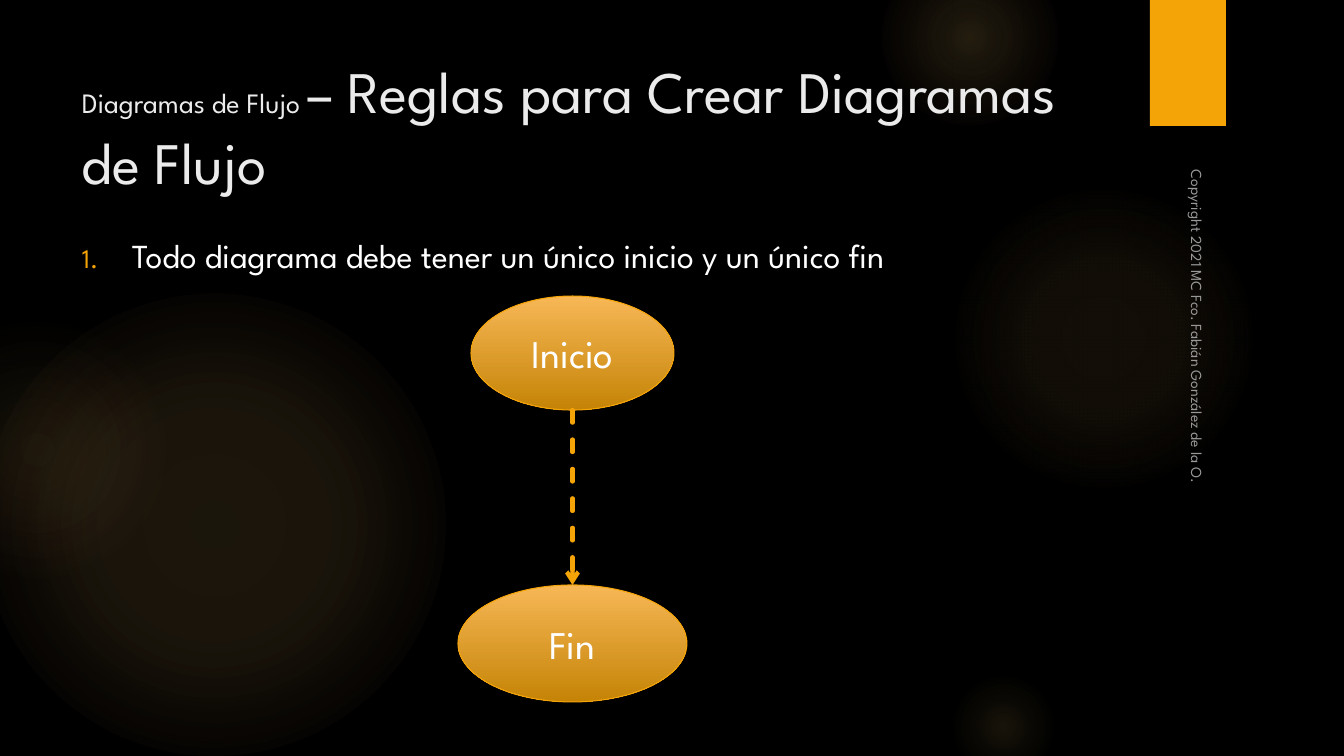
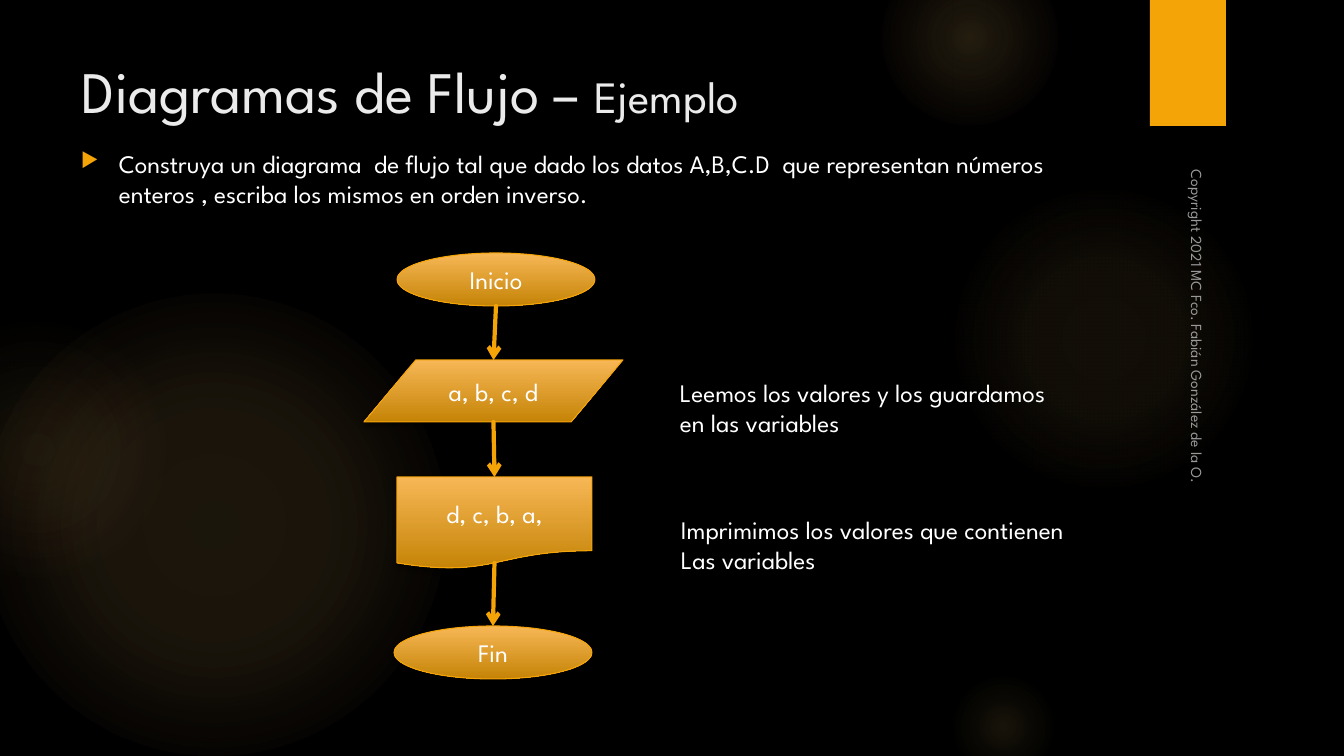
from lxml import etree
from pptx import Presentation
from pptx.dml.color import RGBColor
from pptx.enum import dml, shapes, text
from pptx.oxml import parse_xml
from pptx.oxml.ns import qn
from pptx.util import Pt

SCALE = 914400 / 100.8
WIDE, HIGH = 1344, 756
FONT = "League Spartan"
BLACK = RGBColor(0x00, 0x00, 0x00)
WHITE = RGBColor(0xFF, 0xFF, 0xFF)
PALE = RGBColor(0xEB, 0xEB, 0xEB)
GREY = RGBColor(0x99, 0x99, 0x99)
AMBER = RGBColor(0xF5, 0xA4, 0x08)
LIGHT = RGBColor(0xF7, 0xB7, 0x56)
DARK = RGBColor(0xC5, 0x84, 0x06)
GOLD = RGBColor(0xFA, 0xC9, 0x6A)
CORAL = RGBColor(0xF5, 0x9B, 0x74)
NS = 'xmlns:a="http://schemas.openxmlformats.org/drawingml/2006/main"'
KIND = shapes.MSO_SHAPE

# Glows: left, top, size, then stops of position, opacity and colour
GLOWS = [
    (-17, 294, 462, [(0, 11, GOLD), (36, 10, GOLD), (75, 0, GOLD)]),
    (-93, 320, 260, [(0, 8, GOLD), (36, 5, GOLD), (71, 0, CORAL)]),
    (949, 184, 310, [(0, 7, GOLD), (36, 6, GOLD), (69, 0, GOLD)]),
    (882, -50, 176, [(0, 14, GOLD), (36, 7, GOLD), (73, 0, GOLD)]),
    (949, 672, 109, [(0, 10, GOLD), (31, 5, GOLD), (66, 0, GOLD)]),
]


def px(n):
    return round(n * SCALE)


def fill(frame, paras, size=18, color=WHITE, align=None, anchor="TOP"):
    """Each paragraph is a string or a list of (string, size) runs."""
    frame.word_wrap = True
    frame.vertical_anchor = getattr(text.MSO_ANCHOR, anchor)
    for i, runs in enumerate(paras):
        para = frame.paragraphs[0] if i == 0 else frame.add_paragraph()
        para.alignment = align
        for words, pts in [(runs, size)] if isinstance(runs, str) else runs:
            run = para.add_run()
            run.text = words
            run.font.size = Pt(pts)
            run.font.name = FONT
            run.font.color.rgb = color


def label(slide, box, paras, **form):
    area = slide.shapes.add_textbox(*map(px, box))
    fill(area.text_frame, paras, **form)
    return area


def bullet(area, mark, indent):
    para = area.text_frame.paragraphs[0]
    para.space_before, para.space_after = Pt(5), Pt(6)
    props = para._p.get_or_add_pPr()
    props.set("marL", str(px(indent)))
    props.set("indent", str(-px(indent)))
    for part in (f'<a:buClr {NS}><a:srgbClr val="{AMBER}"/></a:buClr>',
                 f'<a:buSzPct {NS} val="80000"/>', mark):
        props.append(parse_xml(part))


def shade(shape):
    shape.shadow.inherit = False
    shape._element.spPr.find(qn("a:effectLst")).append(parse_xml(
        f'<a:outerShdw {NS} blurRad="38100" dist="25400" dir="5400000" '
        f'rotWithShape="0"><a:srgbClr val="{BLACK}"><a:alpha val="45000"/>'
        '</a:srgbClr></a:outerShdw>'))


def glow(slide, left, top, size, stops):
    disc = slide.shapes.add_shape(KIND.OVAL, *map(px, (left, top, size, size)))
    disc.shadow.inherit = False
    disc.line.fill.background()
    marks = "".join(
        f'<a:gs pos="{pos * 1000}"><a:srgbClr val="{tint}">'
        f'<a:alpha val="{alpha * 1000}"/></a:srgbClr></a:gs>'
        for pos, alpha, tint in stops)
    disc._element.spPr.find(qn("a:prstGeom")).addnext(parse_xml(
        f'<a:gradFill {NS}><a:gsLst>{marks}</a:gsLst><a:path path="circle">'
        '<a:fillToRect l="50000" t="50000" r="50000" b="50000"/></a:path>'
        '</a:gradFill>'))


def base(deck):
    """Blank slide with the shared backdrop, tab and side credit."""
    slide = deck.slides.add_slide(deck.slide_layouts[6])
    back = slide.background.fill
    back.solid()
    back.fore_color.rgb = BLACK
    for spot in GLOWS:
        glow(slide, *spot)
    tab = slide.shapes.add_shape(KIND.RECTANGLE, *map(px, (1150, 0, 76, 126)))
    tab.fill.solid()
    tab.fill.fore_color.rgb = AMBER
    tab.line.fill.background()
    shade(tab)
    side = label(slide, (987, 356, 425, 33),
                 ["Copyright 2021 MC Fco. Fabián González de la O."],
                 size=11, color=GREY, anchor="BOTTOM")
    side.rotation = 90
    return slide


def title(slide, runs, high):
    label(slide, (72, 50, 1037, high), [runs], color=PALE)


def node(slide, kind, box, words, size=18):
    shape = slide.shapes.add_shape(kind, *map(px, box))
    shape.fill.gradient()
    shape.fill.gradient_angle = 270
    for stop, tint, pos in zip(shape.fill.gradient_stops, (LIGHT, DARK), (0, 1)):
        stop.color.rgb = tint
        stop.position = pos
    shape.line.color.rgb = AMBER
    shape.line.width = Pt(0.75)
    shade(shape)
    fill(shape.text_frame, [words], size=size, align=text.PP_ALIGN.CENTER,
         anchor="MIDDLE")
    return shape


def arrow(slide, start, end, dash=False):
    """Join the bottom of one node to the top of the next."""
    wavy = start.auto_shape_type == KIND.FLOWCHART_DOCUMENT
    foot = start.top + start.height - (px(6) if wavy else 0)
    line = slide.shapes.add_connector(
        shapes.MSO_CONNECTOR.STRAIGHT, start.left + start.width // 2, foot,
        end.left + end.width // 2, end.top)
    if end.auto_shape_type != KIND.FLOWCHART_DATA:
        end_site = 0
        line.end_connect(end, end_site)
    line.line.color.rgb = AMBER
    line.line.width = Pt(3)
    if dash:
        line.line.dash_style = dml.MSO_LINE.DASH
    props = line._element.spPr
    stroke = props.find(qn("a:ln"))
    stroke.set("cap", "rnd")
    etree.SubElement(stroke, qn("a:tailEnd")).set("type", "arrow")
    etree.SubElement(props, qn("a:effectLst"))


def chain(slide, x, y, parts, size=18, dash=False):
    """Nodes placed from the corner x, y, each linked to the next."""
    nodes = [node(slide, kind, (x + dx, y + dy, w, h), words, size)
             for kind, dx, dy, w, h, words in parts]
    for start, end in zip(nodes, nodes[1:]):
        arrow(slide, start, end, dash)


def rules(deck):
    slide = base(deck)
    title(slide, [("Diagramas de Flujo ", 20),
                  ("– Reglas para Crear Diagramas de Flujo", 42)], 149)
    body = label(slide, (72, 230, 1061, 56),
                 ["Todo diagrama debe tener un único inicio y un único fin"],
                 size=24)
    bullet(body, f'<a:buAutoNum {NS} type="arabicPeriod"/>', 50)
    chain(slide, 458, 296, [
        (KIND.OVAL, 13, 0, 203, 114, "Inicio"),
        (KIND.OVAL, 0, 289, 229, 117, "Fin"),
    ], size=28, dash=True)


def sample(deck):
    slide = base(deck)
    title(slide, [("Diagramas de Flujo – ", 42), ("Ejemplo", 32)], 86)
    body = label(slide, (71, 143, 1037, 52), [
        "Construya un diagrama  de flujo tal que dado los datos A,B,C.D  que "
        "representan números enteros , escriba los mismos en orden inverso."])
    bullet(body, f'<a:buChar {NS} char="▶"/>', 38)
    chain(slide, 364, 253, [
        (KIND.OVAL, 33, 0, 198, 53, "Inicio"),
        (KIND.FLOWCHART_DATA, 0, 107, 259, 62, "a, b, c, d"),
        (KIND.FLOWCHART_DOCUMENT, 33, 224, 195, 92, "d, c, b, a,"),
        (KIND.OVAL, 30, 373, 198, 53, "Fin"),
    ])
    # Notes beside the steps
    label(slide, (670, 372, 458, 72),
          ["Leemos los valores y los guardamos", "en las variables"])
    label(slide, (671, 509, 482, 72),
          ["Imprimimos los valores que contienen", "Las variables"])


def main():
    deck = Presentation()
    deck.slide_width, deck.slide_height = px(WIDE), px(HIGH)
    rules(deck)
    sample(deck)
    deck.save("out.pptx")


if __name__ == "__main__":
    main()
